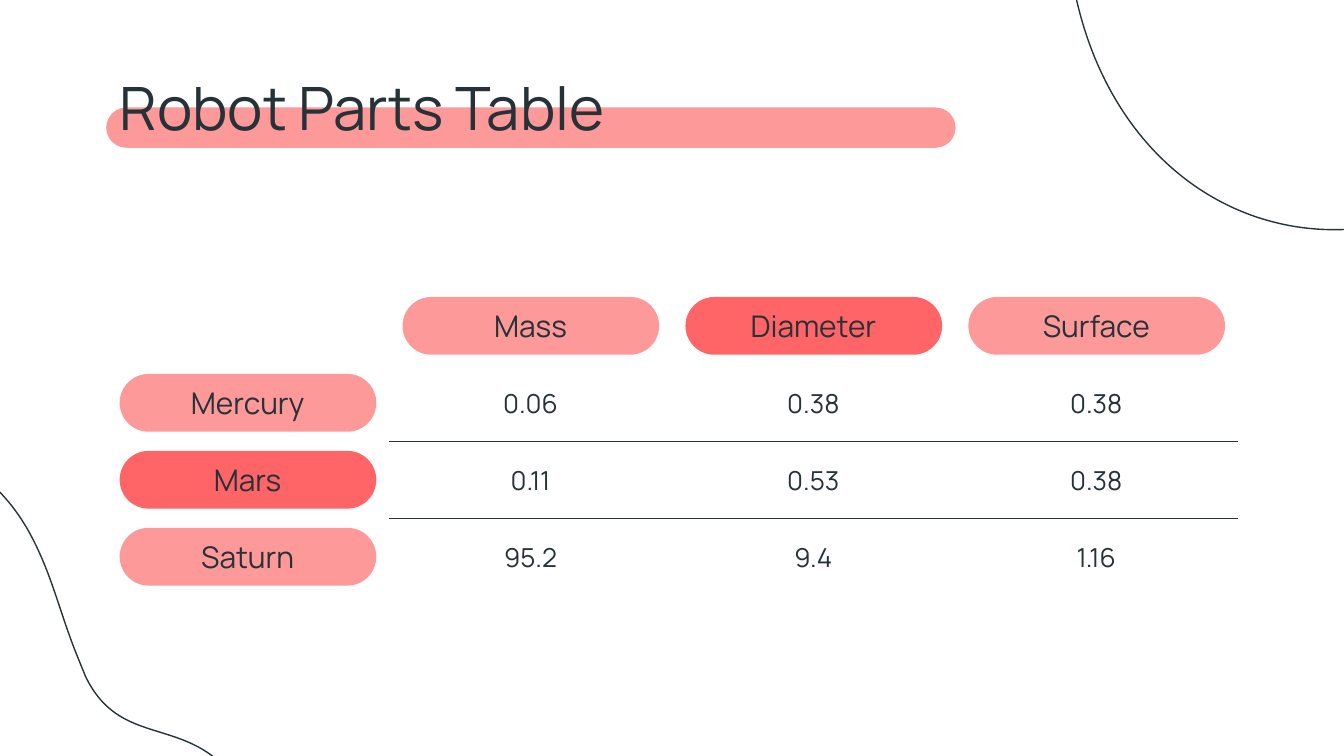
import pptx
import pptx.dml.color
import pptx.enum.shapes
import pptx.enum.text
import pptx.oxml
import pptx.oxml.ns
import pptx.util

Inches = pptx.util.Inches
Pt = pptx.util.Pt
INK = pptx.dml.color.RGBColor(0x26, 0x32, 0x38)
PINK = pptx.dml.color.RGBColor(0xFE, 0x99, 0x99)
CORAL = pptx.dml.color.RGBColor(0xFF, 0x65, 0x66)
NO_STYLE = "{2D5ABB26-0587-4C30-8999-92F81FD0307C}"

presentation = pptx.Presentation()
presentation.slide_width = Inches(10)
presentation.slide_height = Inches(10) * 9 // 16
slide = presentation.slides.add_slide(presentation.slide_layouts[6])
shapes = slide.shapes


def add_pill(left, top, width, height, color):
    pill = shapes.add_shape(
        pptx.enum.shapes.MSO_SHAPE.ROUNDED_RECTANGLE, left, top, width, height
    )
    pill.adjustments[0] = 0.5
    pill.shadow.inherit = False
    pill.fill.solid()
    pill.fill.fore_color.rgb = color
    pill.line.fill.background()


def write_text(frame, text, size, align):
    paragraph = frame.paragraphs[0]
    paragraph.alignment = align
    run = paragraph.add_run()
    run.text = text
    for name, value in {"name": "Manrope", "size": Pt(size)}.items():
        setattr(run.font, name, value)
    run.font.color.rgb = INK


add_pill(Inches(0.79), Inches(0.8), Inches(6.32), Inches(0.3), PINK)

blob_points = [
    (3.52, 0),
    (3.45, 0.01), (3.35, 0.03), (3.24, 0.08),
    (2.85, 0.29), (2.83, 0.72), (2.3, 0.75),
    (2.24, 0.75), (2.19, 0.75), (2.14, 0.75),
    (1.89, 0.75), (1.65, 0.72), (1.43, 0.72),
    (1.16, 0.72), (0.89, 0.75), (0.6, 0.92),
    (0.1, 1.19), (0, 1.6), (0.09, 2.06),
    (0.26, 2.88), (0.96, 3.25), (1.76, 3.25),
    (2.1, 3.25), (2.46, 3.18), (2.8, 3.05),
    (3.91, 2.63), (4.42, 1.65), (4.16, 0.69),
    (4.09, 0.39), (3.88, 0), (3.52, 0),
]
blob_outline = [(Inches(x), Inches(y)) for x, y in blob_points]
for left, top, rotation in [(7.3, -1.98, 96.3), (-2.42, 3.65, 67.9)]:
    builder = shapes.build_freeform(*blob_outline[0])
    builder.add_line_segments(blob_outline[1:], close=True)
    blob = builder.convert_to_shape(Inches(left), Inches(top))
    segments = blob._element.findall(".//" + pptx.oxml.ns.qn("a:lnTo"))
    for first in range(0, len(segments), 3):
        curve = pptx.oxml.parse_xml(
            f"<a:cubicBezTo {pptx.oxml.ns.nsdecls('a')}/>"
        )
        segments[first].addprevious(curve)
        for segment in segments[first:first + 3]:
            curve.append(segment[0])
            segment.getparent().remove(segment)
    blob.rotation = rotation
    blob.shadow.inherit = False
    blob.fill.background()
    blob.line.color.rgb = INK
    blob.line.width = Pt(0.75)

table_left, table_top = Inches(0.79), Inches(2.14)
table_width, table_height = Inches(8.42), Inches(2.29)
column_width, row_height = table_width // 4, table_height // 4
pill_left, pill_top = Inches(0.89), Inches(2.21)
pill_size = Inches(1.91), Inches(0.43)
header_colors = [PINK, CORAL, PINK]

for column, color in enumerate(header_colors, 1):
    add_pill(pill_left + column * column_width, pill_top, *pill_size, color)
for row, color in enumerate(header_colors, 1):
    add_pill(pill_left, pill_top + row * row_height, *pill_size, color)

planet_rows = [
    ["", "Mass", "Diameter", "Surface"],
    ["Mercury", "0.06", "0.38", "0.38"],
    ["Mars", "0.11", "0.53", "0.38"],
    ["Saturn", "95.2", "9.4", "1.16"],
]
planets = shapes.add_table(
    4, 4, table_left, table_top, table_width, table_height
).table
planets.first_row = False
planets.horz_banding = False
planets._tbl.tblPr.find(pptx.oxml.ns.qn("a:tableStyleId")).text = NO_STYLE

margins = {
    "margin_left": Inches(0.1),
    "margin_right": Inches(0.1),
    "margin_top": Inches(0.1),
    "margin_bottom": Inches(0.1),
}
cell_format = {**margins, "vertical_anchor": pptx.enum.text.MSO_ANCHOR.MIDDLE}
for row, values in enumerate(planet_rows):
    planets.rows[row].height = row_height
    planets.columns[row].width = column_width
    for column, value in enumerate(values):
        cell = planets.cell(row, column)
        for name, setting in cell_format.items():
            setattr(cell, name, setting)
        cell.fill.background()
        if value:
            size = 14 if row and column else 16
            write_text(cell.text_frame, value, size, pptx.enum.text.PP_ALIGN.CENTER)
        if row and column:
            sides = (["lnT"] if row > 1 else []) + (["lnB"] if row < 3 else [])
            for position, side in enumerate(sides):
                border = pptx.oxml.parse_xml(
                    f'<a:{side} {pptx.oxml.ns.nsdecls("a")} w="{Pt(0.75)}">'
                    f'<a:solidFill><a:srgbClr val="{INK}"/></a:solidFill></a:{side}>'
                )
                cell._tc.get_or_add_tcPr().insert(position, border)

title = shapes.add_textbox(
    Inches(0.79), Inches(0.43), Inches(8.43), Inches(0.67)
).text_frame
title_format = {**margins, "word_wrap": True}
for name, setting in title_format.items():
    setattr(title, name, setting)
write_text(title, "Robot Parts Table", 32, pptx.enum.text.PP_ALIGN.LEFT)

presentation.save("out.pptx")
